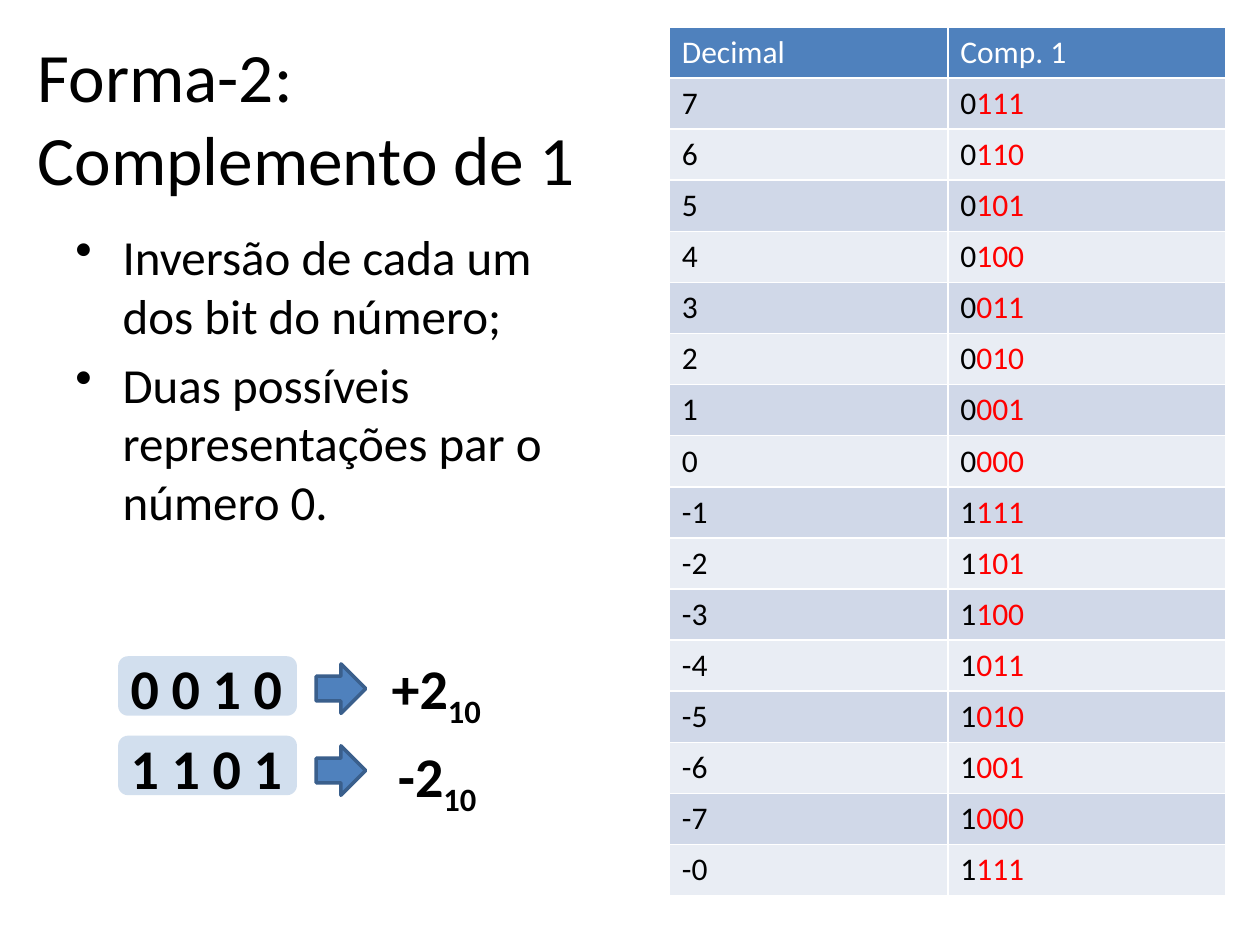
from lxml.etree import SubElement
from pptx import Presentation
from pptx.dml.color import RGBColor
from pptx.enum.shapes import MSO_SHAPE
from pptx.enum.text import MSO_ANCHOR, MSO_AUTO_SIZE, PP_ALIGN
from pptx.oxml import parse_xml
from pptx.oxml.ns import nsdecls, qn
from pptx.util import Pt

BLACK = RGBColor(0x00, 0x00, 0x00)
WHITE = RGBColor(0xFF, 0xFF, 0xFF)
RED = RGBColor(0xFF, 0x00, 0x00)
BLUE = RGBColor(0x4F, 0x81, 0xBD)
NAVY = RGBColor(0x3A, 0x5F, 0x8C)
BANDS = RGBColor(0xD0, 0xD8, 0xE8), RGBColor(0xE9, 0xED, 0xF4)

TITLE = "Forma-2: Complemento de 1"
NOTES = [
    "Inversão de cada um dos bit do número;",
    "Duas possíveis representações par o número 0.",
]
HEAD = "Decimal", "Comp. 1"
CODES = [
    ("7", "0111"), ("6", "0110"), ("5", "0101"), ("4", "0100"),
    ("3", "0011"), ("2", "0010"), ("1", "0001"), ("0", "0000"),
    ("-1", "1111"), ("-2", "1101"), ("-3", "1100"), ("-4", "1011"),
    ("-5", "1010"), ("-6", "1001"), ("-7", "1000"), ("-0", "1111"),
]


class Deck:
    face = "Calibri"

    def __init__(self, wide, high):
        self.show = Presentation()
        self.show.slide_width, self.show.slide_height = Pt(wide), Pt(high)
        self.slide = self.show.slides.add_slide(self.show.slide_layouts[5])

    def style(self, para, size, color=BLACK, bold=False):
        font = para.font
        font.name, font.size, font.bold = self.face, Pt(size), bold
        font.color.rgb = color

    def title(self, text, left, top, wide, high):
        shape = self.slide.shapes.title
        shape.left, shape.top = Pt(left), Pt(top)
        shape.width, shape.height = Pt(wide), Pt(high)
        frame = shape.text_frame
        frame.text = text
        frame.auto_size = MSO_AUTO_SIZE.NONE
        frame.vertical_anchor = MSO_ANCHOR.MIDDLE
        para = frame.paragraphs[0]
        para.alignment = PP_ALIGN.LEFT
        self.style(para, 39.6)

    def box(self, left, top, wide, high):
        shape = self.slide.shapes.add_textbox(Pt(left), Pt(top), Pt(wide), Pt(high))
        shape.text_frame.word_wrap = True
        return shape.text_frame

    def list(self, items, left, top, wide, high):
        frame = self.box(left, top, wide, high)
        frame.text = "\n".join(items)
        for para in frame.paragraphs:
            para.space_before = Pt(5.6)
            self.style(para, 28)
            props = para._p.get_or_add_pPr()
            props.set("marL", str(Pt(27)))
            props.set("indent", str(Pt(-27)))
            bullet = parse_xml(f'<a:buChar {nsdecls("a")} char="•"/>')
            props.find(qn("a:defRPr")).addprevious(bullet)

    def label(self, text, left, top, wide, sub=""):
        para = self.box(left, top, wide, 46).paragraphs[0]
        para.add_run().text = text
        self.style(para, 32, bold=True)
        if sub:
            run = para.add_run()
            run.text = sub
            run.font._element.set("baseline", "-25000")

    def shape(self, kind, left, top, wide, high, alpha=None, line=None):
        shape = self.slide.shapes.add_shape(kind, Pt(left), Pt(top), Pt(wide), Pt(high))
        shape.shadow.inherit = False
        shape.fill.solid()
        shape.fill.fore_color.rgb = BLUE
        if alpha:
            color = shape._element.spPr.find(qn("a:solidFill"))[0]
            SubElement(color, qn("a:alpha"), val=str(alpha * 1000))
        if line:
            shape.line.color.rgb, shape.line.width = line, Pt(2)
        else:
            shape.line.fill.background()

    def cell(self, cell, parts, fill):
        para = cell.text_frame.paragraphs[0]
        self.style(para, 18, parts[0][1])
        for text, color in parts:
            run = para.add_run()
            run.text = text
            run.font.color.rgb = color
        cell.fill.solid()
        cell.fill.fore_color.rgb = fill
        props = cell._tc.get_or_add_tcPr()
        for spot, side in enumerate("LRTB"):
            props.insert(spot, parse_xml(
                f'<a:ln{side} {nsdecls("a")} w="{Pt(1)}"><a:solidFill>'
                f'<a:srgbClr val="{WHITE}"/></a:solidFill></a:ln{side}>'))

    def table(self, head, rows, left, top, wide, high):
        grid = self.slide.shapes.add_table(
            len(rows) + 1, len(head), Pt(left), Pt(top), Pt(wide), Pt(high)).table
        for col, text in enumerate(head):
            self.cell(grid.cell(0, col), [(text, WHITE)], BLUE)
        for row, (value, code) in enumerate(rows, 1):
            fill = BANDS[(row - 1) % 2]
            self.cell(grid.cell(row, 0), [(value, BLACK)], fill)
            self.cell(grid.cell(row, 1), [(code[0], BLACK), (code[1:], RED)], fill)

    def save(self):
        self.show.save("out.pptx")


def main():
    deck = Deck(720, 540)
    deck.title(TITLE, 14.4, 21.6, 396.7, 90)
    deck.list(NOTES, 36, 126, 318.2, 211.7)
    deck.table(HEAD, CODES, 382.5, 15.4, 318.2, 496.4)
    for bits, top, arrow in [("0 0 1 0", 375, 379.4), ("1 1 0 1", 420.4, 426.2)]:
        deck.shape(MSO_SHAPE.ROUNDED_RECTANGLE, 67.5, top, 102.2, 34, alpha=25)
        deck.label(bits, 67.5, top - 5, 102.2)
        deck.shape(MSO_SHAPE.RIGHT_ARROW, 180.7, arrow, 28.3, 28.3, line=NAVY)
    deck.label("+2", 216.7, 370, 82.8, "10")
    deck.label("-2", 220.3, 420.4, 62.6, "10")
    deck.save()


if __name__ == "__main__":
    main()
